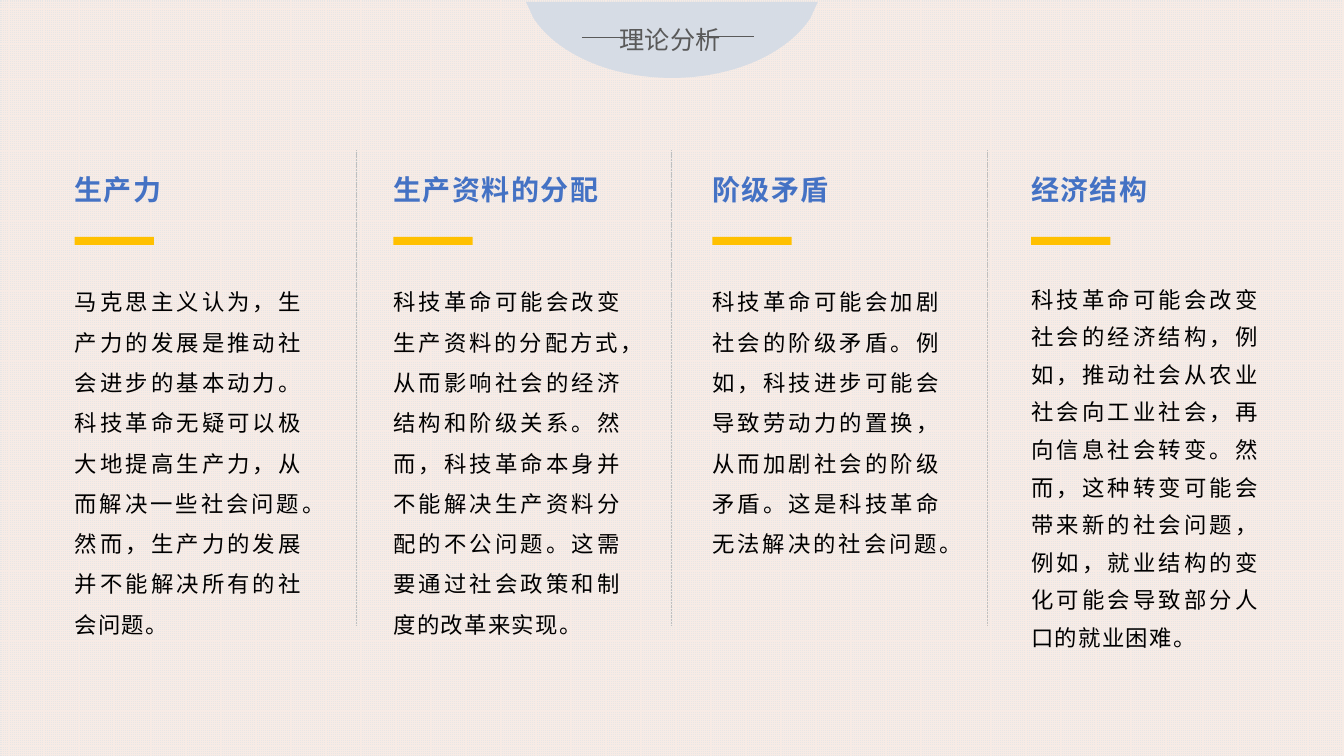
from dataclasses import dataclass

from lxml.etree import SubElement
from pptx import Presentation
from pptx.dml.color import RGBColor
from pptx.enum.dml import MSO_LINE_DASH_STYLE as Dash, MSO_PATTERN_TYPE as Pattern
from pptx.enum.shapes import MSO_CONNECTOR_TYPE as Connector, MSO_SHAPE as Shape
from pptx.enum.text import MSO_AUTO_SIZE as AutoSize, PP_ALIGN as Align
from pptx.oxml.ns import qn
from pptx.shapes.autoshape import Shape as Box
from pptx.shapes.shapetree import GroupShapes
from pptx.slide import Slide
from pptx.util import Pt

PINK = RGBColor(0xF7, 0xEB, 0xE5)
PALE_GRAY = RGBColor(0xE7, 0xE6, 0xE6)
BLUE_GRAY = RGBColor(0xD6, 0xDC, 0xE5)
DARK_GRAY = RGBColor(0x59, 0x59, 0x59)
SILVER = RGBColor(0xBF, 0xBF, 0xBF)
GOLD = RGBColor(0xFF, 0xC0, 0x00)
BLUE = RGBColor(0x44, 0x72, 0xC4)
BLACK = RGBColor(0, 0, 0)

CJK_FONT = "Noto Sans CJK SC"
COLUMN_LEFT, COLUMN_PITCH = 53.28, 227.76
DIVIDER_LEFT, DIVIDER_PITCH = 254.16, 225.36
CURVE_STEPS = 24


@dataclass(frozen=True)
class TextStyle:
    size: float
    color: RGBColor
    font: str = CJK_FONT
    bold: bool = False
    spacing: float = 0


@dataclass(frozen=True)
class Column:
    heading: str
    body: str
    line_spacing: float = 1.5
    body_height: float = 266.4


TITLE = TextStyle(18, DARK_GRAY)
HEADING = TextStyle(20, BLUE, bold=True, spacing=1)
BODY = TextStyle(16, BLACK, font="Arial", spacing=1)

COLUMNS = [
    Column(
        "生产力",
        "马克思主义认为，生产力的发展是推动社会进步的基本动力。科技革命无疑可以极大地提高生产力，"
        "从而解决一些社会问题。然而，生产力的发展并不能解决所有的社会问题。",
    ),
    Column(
        "生产资料的分配",
        "科技革命可能会改变生产资料的分配方式，从而影响社会的经济结构和阶级关系。然而，"
        "科技革命本身并不能解决生产资料分配的不公问题。这需要通过社会政策和制度的改革来实现。",
    ),
    Column(
        "阶级矛盾",
        "科技革命可能会加剧社会的阶级矛盾。例如，科技进步可能会导致劳动力的置换，"
        "从而加剧社会的阶级矛盾。这是科技革命无法解决的社会问题。",
    ),
    Column(
        "经济结构",
        "科技革命可能会改变社会的经济结构，例如，推动社会从农业社会向工业社会，再向信息社会转变。"
        "然而，这种转变可能会带来新的社会问题，例如，就业结构的变化可能会导致部分人口的就业困难。",
        line_spacing=1.4,
        body_height=290.9,
    ),
]


def add_text(shapes: GroupShapes, text: str, style: TextStyle, left: float, top: float,
             width: float, height: float) -> Box:
    box = shapes.add_textbox(Pt(left), Pt(top), Pt(width), Pt(height))
    box.text_frame.word_wrap = True
    span = box.text_frame.paragraphs[0].add_run()
    span.text = text
    span.font.name = style.font
    span.font.size = Pt(style.size)
    span.font.bold = style.bold
    span.font.color.rgb = style.color
    properties = span.font._element
    SubElement(properties, qn("a:ea")).set("typeface", CJK_FONT)
    if style.spacing:
        properties.set("spc", str(round(style.spacing * 100)))
    return box


def add_line(shapes: GroupShapes, start: tuple[float, float], end: tuple[float, float],
             color: RGBColor, width: float, dash: Dash = Dash.SOLID) -> None:
    line = shapes.add_connector(Connector.STRAIGHT, Pt(start[0]), Pt(start[1]), Pt(end[0]), Pt(end[1]))
    line.line.color.rgb = color
    line.line.width = Pt(width)
    line.line.dash_style = dash
    SubElement(line._element.spPr, qn("a:effectLst"))


def paint(shape: Box, color: RGBColor) -> None:
    shape.shadow.inherit = False
    shape.fill.solid()
    shape.fill.fore_color.rgb = color
    shape.line.fill.background()


def bezier(*controls: tuple[float, float]) -> list[tuple[float, float]]:
    points = []
    for step in range(1, CURVE_STEPS + 1):
        t = step / CURVE_STEPS
        weights = ((1 - t) ** 3, 3 * t * (1 - t) ** 2, 3 * t * t * (1 - t), t ** 3)
        points.append((
            sum(weight * x for weight, (x, _) in zip(weights, controls)),
            sum(weight * y for weight, (_, y) in zip(weights, controls)),
        ))
    return points


def add_title(page: Slide) -> None:
    right, middle, left = (578.9, 13), (480, 55.7), (381.1, 13)
    outline = [
        (584.2, 1.4), right,
        *bezier(right, (562.3, 38.2), (524.2, 55.7), middle),
        *bezier(middle, (435.8, 55.7), (397.7, 38.2), left),
    ]
    builder = page.shapes.build_freeform(Pt(375.8), Pt(1.4))
    builder.add_line_segments([(Pt(x), Pt(y)) for x, y in outline], close=True)
    paint(builder.convert_to_shape(), BLUE_GRAY)

    group = page.shapes.add_group_shape().shapes
    box = add_text(group, "理论分析", TITLE, 435.6, 13.8, 88.6, 29.1)
    box.text_frame.auto_size = AutoSize.SHAPE_TO_FIT_TEXT
    add_line(group, (415.6, 26.8), (455.8, 26.8), DARK_GRAY, 0.5)
    add_line(group, (498.4, 26.2), (538.6, 26.2), DARK_GRAY, 0.5)


def add_column(page: Slide, column: Column, left: float) -> None:
    group = page.shapes.add_group_shape().shapes
    bar = group.add_shape(Shape.RECTANGLE, Pt(left), Pt(169.2), Pt(56.7), Pt(5.7))
    paint(bar, GOLD)

    heading_width = 7.2 + 21.2 * len(column.heading)
    heading = add_text(group, column.heading, HEADING, left, 119.5, heading_width, 31.5)
    heading.text_frame.margin_left = 0
    heading.text_frame.word_wrap = False
    heading.text_frame.auto_size = AutoSize.SHAPE_TO_FIT_TEXT

    body = add_text(group, column.body, BODY, left, 193, 169.9, column.body_height)
    body.text_frame.margin_left = 0
    para = body.text_frame.paragraphs[0]
    para.alignment = Align.JUSTIFY
    para.line_spacing = column.line_spacing


def main() -> None:
    deck = Presentation()
    deck.slide_width, deck.slide_height = Pt(960), Pt(540)
    page = deck.slides.add_slide(deck.slide_layouts[6])
    backdrop = page.background.fill
    backdrop.patterned()
    backdrop.pattern = Pattern.SMALL_GRID
    backdrop.fore_color.rgb = PINK
    backdrop.back_color.rgb = PALE_GRAY

    add_title(page)
    for index, column in enumerate(COLUMNS):
        add_column(page, column, COLUMN_LEFT + index * COLUMN_PITCH)
    for index in range(len(COLUMNS) - 1):
        x = DIVIDER_LEFT + index * DIVIDER_PITCH
        add_line(page.shapes, (x, 107.3), (x, 447.1), SILVER, 0.25, Dash.SQUARE_DOT)
    deck.save("out.pptx")


if __name__ == "__main__":
    main()
